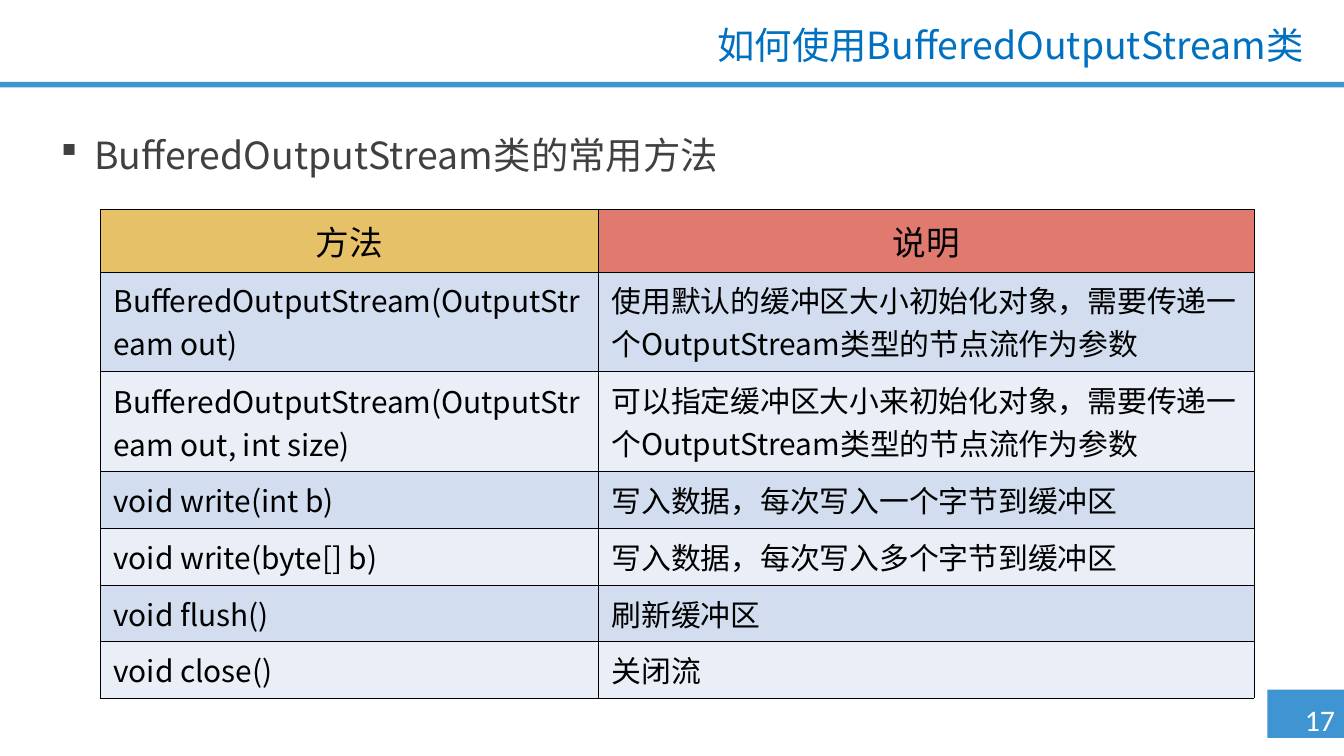
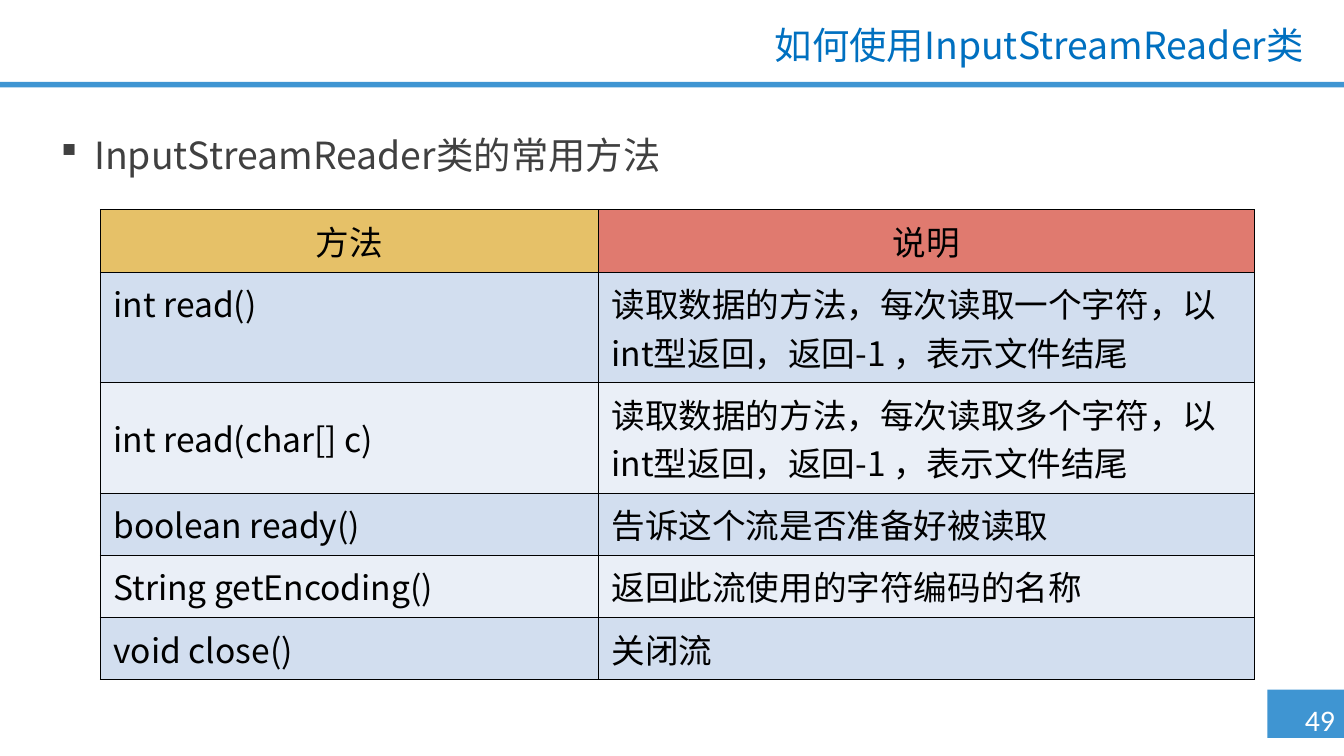
from dataclasses import dataclass

from lxml.etree import SubElement
from pptx import Presentation
from pptx.dml.color import RGBColor
from pptx.enum.shapes import MSO_SHAPE
from pptx.enum.text import MSO_ANCHOR as ANCHOR, MSO_AUTO_SIZE as AUTO, PP_ALIGN as ALIGN
from pptx.oxml.ns import qn
from pptx.util import Pt

COLORS = {
    "band": "3F95D2", "title": "0070C0", "bullet": "404040",
    "white": "FFFFFF", "black": "000000",
    "method_head": "E6C168", "note_head": "E07A6F",
    "odd_row": "D2DEEF", "even_row": "EAEFF7",
}
CJK = "Noto Sans CJK SC"
COL_WIDTHS = (266.8, 351.4)
HEAD_SIZE = 18
LINE_RATIO = 1.448
CELL_PADDING = 7.2


@dataclass(frozen=True)
class Box:
    left: float
    top: float
    width: float
    height: float

    def pts(self) -> tuple:
        return Pt(self.left), Pt(self.top), Pt(self.width), Pt(self.height)


@dataclass(frozen=True)
class MethodSlide:
    class_name: str
    page: int
    body_size: int
    methods: tuple


BANDS = (Box(678.96, 369.5, 41.04, 25.92), Box(0, 43.92, 720, 2.88))
PAGE_BOX = Box(690.2, 372.24, 37.44, 26.64)
TITLE_BOX = Box(172.8, 10.8, 532.8, 29.52)
BULLET_BOX = Box(25.4, 66.24, 657.36, 33.12)
TABLE_LEFT, TABLE_TOP = 53.6, 112.32
WRAPPED_ROWS = (1, 2)

SLIDES = (
    MethodSlide("BufferedOutputStream", 17, 16, (
        ("BufferedOutputStream(OutputStream out)",
         "使用默认的缓冲区大小初始化对象，需要传递一个OutputStream类型的节点流作为参数"),
        ("BufferedOutputStream(OutputStream out, int size)",
         "可以指定缓冲区大小来初始化对象，需要传递一个OutputStream类型的节点流作为参数"),
        ("void write(int b)", "写入数据，每次写入一个字节到缓冲区"),
        ("void write(byte[] b)", "写入数据，每次写入多个字节到缓冲区"),
        ("void flush()", "刷新缓冲区"),
        ("void close()", "关闭流"),
    )),
    MethodSlide("InputStreamReader", 49, 18, (
        ("int read()", "读取数据的方法，每次读取一个字符，以int型返回，返回-1 ，表示文件结尾"),
        ("int read(char[] c)", "读取数据的方法，每次读取多个字符，以int型返回，返回-1 ，表示文件结尾"),
        ("boolean ready()", "告诉这个流是否准备好被读取"),
        ("String getEncoding()", "返回此流使用的字符编码的名称"),
        ("void close()", "关闭流"),
    )),
)


def rgb(name: str) -> RGBColor:
    return RGBColor.from_string(COLORS[name])


def write(p, text: str, *, size: float, color: str, font: str = CJK, align=ALIGN.LEFT) -> None:
    """Append a run to the paragraph, with CJK as its East Asian font."""
    p.alignment = align
    r = p.add_run()
    r.text = text
    r.font.size = Pt(size)
    r.font.name = font
    r.font.color.rgb = rgb(color)
    SubElement(r.font._element, qn("a:ea"), typeface=CJK)


def add_box(slide, box: Box, *, wrap: bool = True, auto=AUTO.NONE):
    """Add a text box and return its first paragraph."""
    tf = slide.shapes.add_textbox(*box.pts()).text_frame
    tf.word_wrap = wrap
    tf.auto_size = auto
    return tf.paragraphs[0]


def add_frame(slide, page: int) -> None:
    """Draw the title rule, the corner block and the page number."""
    for band in BANDS:
        sp = slide.shapes.add_shape(MSO_SHAPE.RECTANGLE, *band.pts())
        sp.shadow.inherit = False
        sp.fill.solid()
        sp.fill.fore_color.rgb = rgb("band")
        sp.line.fill.background()
    p = add_box(slide, PAGE_BOX, wrap=False, auto=AUTO.SHAPE_TO_FIT_TEXT)
    write(p, f"{page} ", size=16, color="white", font="Calibri", align=ALIGN.CENTER)


def add_title(slide, class_name: str) -> None:
    p = add_box(slide, TITLE_BOX, auto=AUTO.SHAPE_TO_FIT_TEXT)
    p.line_spacing = 0.9
    for text, font in ((f"如何使用{class_name}", CJK), ("类", "Roboto")):
        write(p, text, size=20, color="title", font=font, align=ALIGN.RIGHT)


def add_bullet(slide, text: str) -> None:
    p = add_box(slide, BULLET_BOX)
    pPr = p._p.get_or_add_pPr()
    pPr.set("marL", str(Pt(18)))
    pPr.set("indent", str(-Pt(18)))
    SubElement(pPr, qn("a:buFont"), typeface="Wingdings", charset="2")
    SubElement(pPr, qn("a:buChar"), char="§")
    p.line_spacing = Pt(25)
    write(p, text, size=20, color="bullet")


def style_cell(cell, fill: str) -> None:
    """Give the cell thin black borders and a solid fill."""
    tcPr = cell._tc.get_or_add_tcPr()
    for side in ("lnL", "lnR", "lnT", "lnB"):
        ln = SubElement(tcPr, qn(f"a:{side}"), w=str(Pt(0.25)))
        solid = SubElement(ln, qn("a:solidFill"))
        SubElement(solid, qn("a:srgbClr"), val=COLORS["black"])
    cell.fill.solid()
    cell.fill.fore_color.rgb = rgb(fill)


def row_height(lines: int, size: float) -> float:
    return round(lines * size * LINE_RATIO + CELL_PADDING, 2)


def add_method_table(slide, methods: tuple, body_size: int) -> None:
    rows = (("方法", "说明"), *methods)
    sizes = (HEAD_SIZE, *[body_size] * len(methods))
    heights = [row_height(2 if i in WRAPPED_ROWS else 1, size) for i, size in enumerate(sizes)]
    box = Box(TABLE_LEFT, TABLE_TOP, sum(COL_WIDTHS), sum(heights))
    table = slide.shapes.add_table(len(rows), len(COL_WIDTHS), *box.pts()).table
    table.first_row = table.horz_banding = False
    for column, width in zip(table.columns, COL_WIDTHS):
        column.width = Pt(width)
    for i, row in enumerate(rows):
        table.rows[i].height = Pt(heights[i])
        if i == 0:
            fills, align = ("method_head", "note_head"), ALIGN.CENTER
        else:
            fills, align = ("even_row" if i % 2 == 0 else "odd_row",) * 2, ALIGN.LEFT
        for j, text in enumerate(row):
            cell = table.cell(i, j)
            style_cell(cell, fills[j])
            if i == 2 and j == 0:
                cell.vertical_anchor = ANCHOR.MIDDLE
            write(cell.text_frame.paragraphs[0], text, size=sizes[i], color="black", align=align)


def main() -> None:
    prs = Presentation()
    prs.slide_width, prs.slide_height = Pt(720), Pt(405)
    for item in SLIDES:
        slide = prs.slides.add_slide(prs.slide_layouts[6])
        add_frame(slide, item.page)
        add_title(slide, item.class_name)
        add_bullet(slide, f"{item.class_name}类的常用方法")
        add_method_table(slide, item.methods, item.body_size)
    prs.save("out.pptx")


if __name__ == "__main__":
    main()
